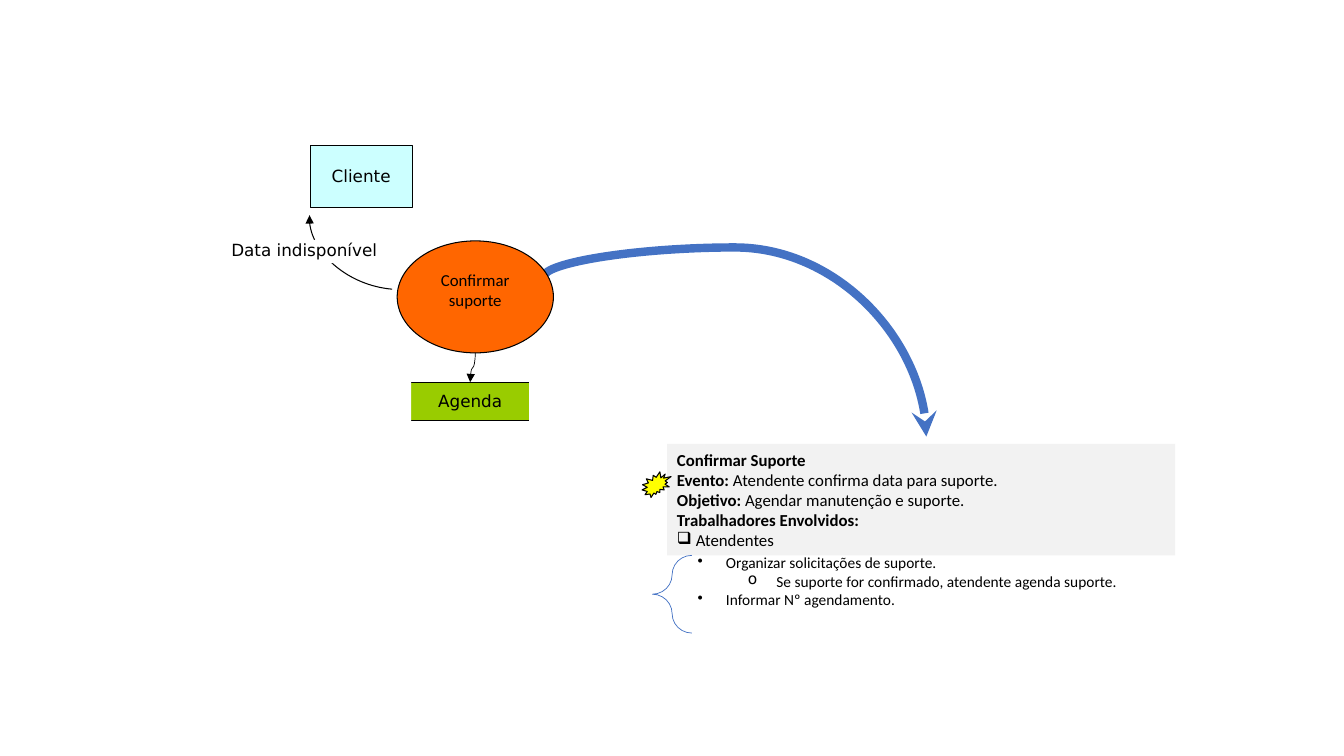
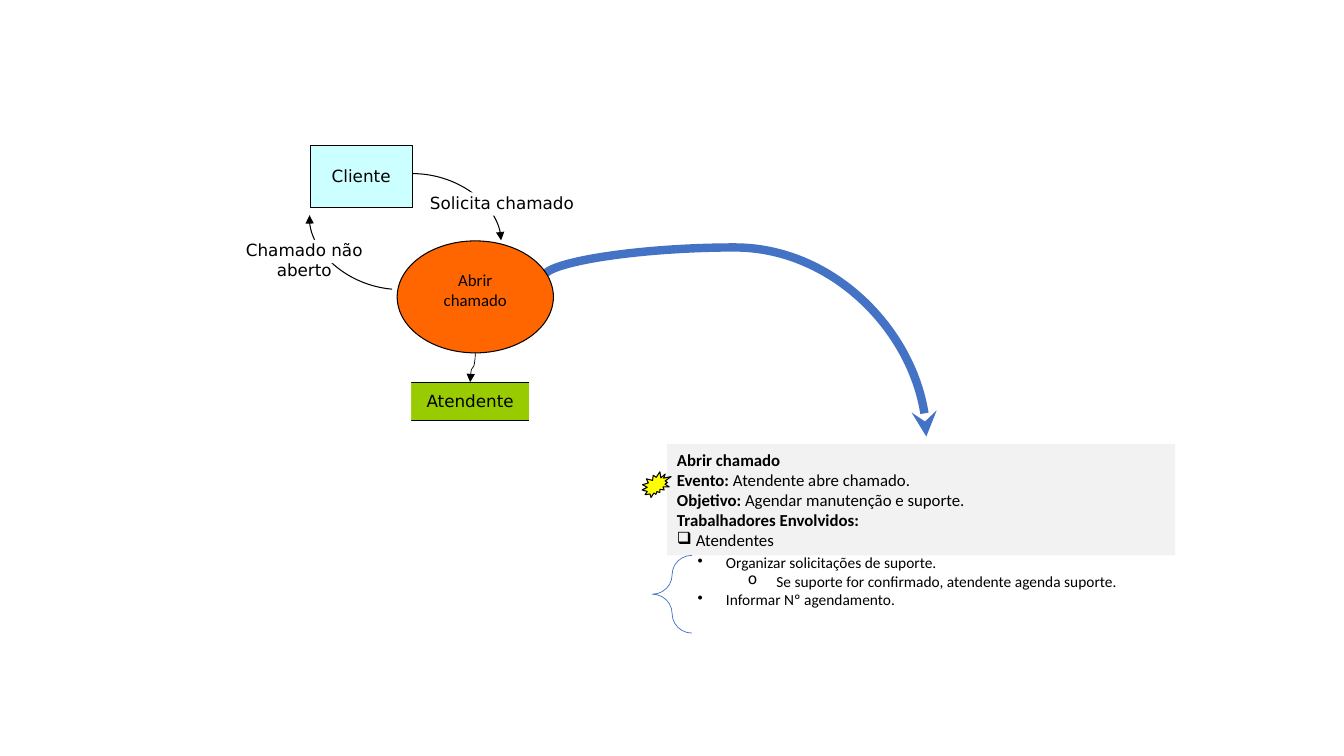
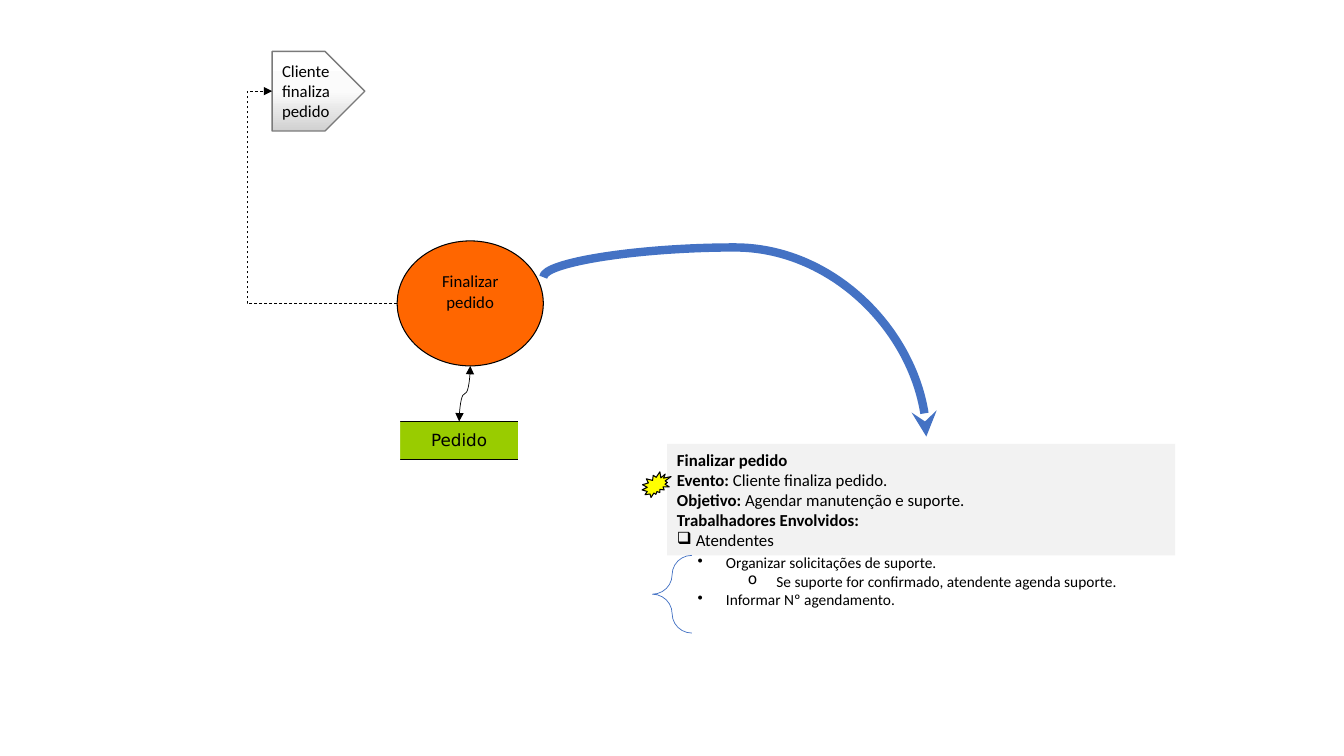
import copy
import lxml.etree
import pptx
import pptx.util
import pptx.dml.color
import pptx.enum.dml
import pptx.enum.shapes
import pptx.enum.text
import pptx.oxml.ns

Pt = pptx.util.Pt
Color = pptx.dml.color.RGBColor
Kind = pptx.enum.shapes.MSO_SHAPE
Link = pptx.enum.shapes.MSO_CONNECTOR
Align = pptx.enum.text.PP_ALIGN
Anchor = pptx.enum.text.MSO_ANCHOR
Fit = pptx.enum.text.MSO_AUTO_SIZE
qn = pptx.oxml.ns.qn

BLACK = Color(0x00, 0x00, 0x00)
WHITE = Color(0xFF, 0xFF, 0xFF)
GREY = Color(0xF2, 0xF2, 0xF2)
BLUE = Color(0x44, 0x72, 0xC4)
CYAN = Color(0xCC, 0xFF, 0xFF)
ORANGE = Color(0xFF, 0x66, 0x00)
GREEN = Color(0x99, 0xCC, 0x00)
YELLOW = Color(0xFF, 0xFF, 0x00)
EDGE = Color(0x7A, 0x7A, 0x7A)
FADE = [(0, WHITE), (0.5, Color(0xFB, 0xFB, 0xFB)), (1, Color(0xD1, 0xD1, 0xD1))]

BODY = "Calibri"
SANS = "DejaVu Sans"
PAD = (7.2, 3.6, 7.2, 3.6)

GOAL = "Agendar manutenção e suporte."
STAFF = "Atendentes"
STEPS = [
    (1, "•", "Organizar solicitações de suporte."),
    (2, "o", "Se suporte for confirmado, atendente agenda suporte."),
    (1, "•", "Informar Nº agendamento."),
]
INDENT = {1: 35.4, 2: 71.4}

OVAL = (283.7, 172.1, 111.6, 80)
STORE = (292.3, 273, 87.1, 27.4)
FLOWS = [
    dict(task="Confirmar suporte", title="Confirmar Suporte",
         event="Atendente confirma data para suporte.",
         store="Agenda", reply="Data indisponível", oval=OVAL, base=STORE),
    dict(task="Abrir chamado", title="Abrir chamado",
         event="Atendente abre chamado.",
         store="Atendente", reply="Chamado não aberto", ask="Solicita chamado",
         oval=OVAL, base=STORE),
    dict(task="Finalizar pedido", title="Finalizar pedido",
         event="Cliente finaliza pedido.",
         store="Pedido", start="Cliente finaliza pedido",
         oval=(283.7, 172.1, 104.4, 89.3), base=(284.4, 301, 87.1, 27.4)),
]


def points(box):
    return [Pt(round(v, 2)) for v in box]


def shape(slide, kind, box, fill=None, line=None, width=0.75):
    item = slide.shapes.add_shape(kind, *points(box))
    item.shadow.inherit = False
    if fill is None:
        item.fill.background()
    else:
        item.fill.solid()
        item.fill.fore_color.rgb = fill
    if line is None:
        item.line.fill.background()
    else:
        item.line.color.rgb = line
        item.line.width = Pt(width)
    return item


def frame(item, pad=PAD, anchor=Anchor.TOP, grow=False):
    text = item.text_frame
    text.word_wrap = True
    text.vertical_anchor = anchor
    (text.margin_left, text.margin_top,
     text.margin_right, text.margin_bottom) = points(pad)
    if grow:
        text.auto_size = Fit.SHAPE_TO_FIT_TEXT
    return text


def style(run, font=BODY, size=12, bold=False):
    run.font.name = font
    run.font.size = Pt(size)
    run.font.bold = bold
    run.font.color.rgb = BLACK


def label(item, words, font=SANS, pad=PAD, anchor=Anchor.TOP, align=Align.CENTER):
    text = frame(item, pad, anchor)
    text.text = words
    para = text.paragraphs[0]
    para.alignment = align
    style(para.runs[0], font)
    return para


def bullet(para, mark, left, hang):
    props = para._p.get_or_add_pPr()
    props.set("marL", str(Pt(left)))
    props.set("indent", str(-Pt(hang)))
    lxml.etree.SubElement(props, qn("a:buChar")).set("char", mark)


def arrow(slide, preset, box, turn=0, flip=False, color=BLACK, width=0.75,
          bend=None, dash=False, tail="triangle", head=None):
    left, top, wide, high = box
    kind = Link.ELBOW if preset.startswith("bent") else Link.CURVE
    item = slide.shapes.add_connector(
        kind, *points((left, top, left + wide, top + high)))
    item.line.color.rgb = color
    item.line.width = Pt(width)
    if dash:
        item.line.dash_style = pptx.enum.dml.MSO_LINE.DASH
    props = item._element.spPr
    place = props.find(qn("a:xfrm"))
    if turn:
        place.set("rot", str(turn * 60000))
    if flip:
        place.set("flipH", "1")
    geom = props.find(qn("a:prstGeom"))
    geom.set("prst", preset)
    if bend is not None:
        guide = lxml.etree.SubElement(geom.find(qn("a:avLst")), qn("a:gd"))
        guide.set("name", "adj1")
        guide.set("fmla", f"val {round(bend * 100000)}")
    stroke = props.find(qn("a:ln"))
    for tag, end in (("a:headEnd", head), ("a:tailEnd", tail)):
        if end:
            lxml.etree.SubElement(stroke, qn(tag)).set("type", end)
    lxml.etree.SubElement(props, qn("a:effectLst"))


def summary(slide, flow):
    card = shape(slide, Kind.RECTANGLE, (476.5, 317, 363, 79.8), GREY)
    text = frame(card, anchor=Anchor.MIDDLE, grow=True)
    rows = [(flow["title"], ""), ("Evento: ", flow["event"]),
            ("Objetivo: ", GOAL), ("Trabalhadores Envolvidos:", ""), ("", STAFF)]
    for i, row in enumerate(rows):
        para = text.paragraphs[0] if i == 0 else text.add_paragraph()
        para.alignment = Align.JUSTIFY
        for words, bold in zip(row, (True, False)):
            if words:
                run = para.add_run()
                run.text = words
                style(run, bold=bold)
    bullet(para, "❑", 13.5, 13.5)


def steps(slide):
    text = frame(slide.shapes.add_textbox(*points((476, 391.8, 367, 47.2))), grow=True)
    for i, (level, mark, words) in enumerate(STEPS):
        para = text.paragraphs[0] if i == 0 else text.add_paragraph()
        para.text = words
        para.level = level
        para.alignment = Align.JUSTIFY
        bullet(para, mark, INDENT[level], 20.2)
        style(para.runs[0], size=11)
    brace = shape(slide, Kind.LEFT_BRACE, (466, 396.7, 28.2, 55.5), None, BLUE, 0.5)
    brace.adjustments[0] = 0.521
    brace.adjustments[1] = 0.5


def tag(slide, words, left, top):
    item = shape(slide, Kind.RECTANGLE, (left, top, 108, 16.6), WHITE)
    label(item, words, pad=(0, 0, 0, 0))


def client(slide):
    item = shape(slide, Kind.RECTANGLE, (221.5, 104, 73, 44.5), CYAN, BLACK)
    label(item, "Cliente", pad=(7.2, 2.9, 7.2, 3.6), anchor=Anchor.MIDDLE)


def task(slide, flow):
    arrow(slide, "curvedConnector3", (468, 118.1, 113.8, 273.6), 270, True,
          BLUE, 6, -0.187, tail="stealth")
    oval = shape(slide, Kind.OVAL, flow["oval"], ORANGE, BLACK)
    para = label(oval, flow["task"], BODY, (7.2, 8.6, 7.2, 3.6))
    para.space_before = Pt(2.4)
    burst = shape(slide, Kind.EXPLOSION2, (458, 337.7, 22.3, 16.6), YELLOW, BLACK)
    burst.rotation = 347.5


def store(slide, flow):
    left, top, wide, high = flow["base"]
    item = shape(slide, Kind.RECTANGLE, flow["base"], GREEN, BLACK)
    label(item, flow["store"], pad=(7.2, 5.8, 7.2, 3.6))
    for x in (left - 13, left + wide - 1.4):
        shape(slide, Kind.RECTANGLE, (x, top - 2.9, 14.4, 32.4), WHITE)


def drop(slide, flow):
    left, top, wide, high = flow["oval"]
    x, y = left + wide / 2, top + high
    goal = flow["base"][0] + flow["base"][2] / 2
    span, shift = flow["base"][1] - y, x - goal
    box = ((x + goal - span) / 2, y + (span - shift) / 2, span, shift)
    arrow(slide, "curvedConnector3", box, 90, width=0.5,
          head="triangle" if "start" in flow else None)


def start(slide, words):
    plate = shape(slide, Kind.PENTAGON, (194.4, 36.7, 66.2, 56.9), WHITE, EDGE, 1)
    plate.fill.gradient()
    plate.fill.gradient_angle = 270
    stops = plate._element.spPr.find(".//" + qn("a:gsLst"))
    stops.append(copy.deepcopy(stops[0]))
    for stop, (spot, color) in zip(plate.fill.gradient_stops, FADE):
        stop.position = spot
        stop.color.rgb = color
    arrow(slide, "bentConnector3", (194.4, 65.1, 89.3, 151.6), 180,
          width=0.5, bend=1.2, dash=True)
    note = slide.shapes.add_textbox(*points((194.4, 39.6, 62.6, 51.1)))
    label(note, words, BODY, align=Align.LEFT)


def build(slide, flow):
    summary(slide, flow)
    steps(slide)
    if "ask" in flow:
        arrow(slide, "curvedConnector2", (294.5, 124, 63.4, 47.7))
        tag(slide, flow["ask"], 304.6, 137.5)
    if "reply" in flow:
        client(slide)
    task(slide, flow)
    store(slide, flow)
    if "reply" in flow:
        arrow(slide, "curvedConnector2", (218.9, 156.4, 63.4, 47.5), 185)
        tag(slide, flow["reply"], 163.4, 171.4)
    drop(slide, flow)
    if "start" in flow:
        start(slide, flow["start"])


def main():
    deck = pptx.Presentation()
    deck.slide_width = Pt(960)
    deck.slide_height = Pt(540)
    for flow in FLOWS:
        build(deck.slides.add_slide(deck.slide_layouts[6]), flow)
    deck.save("out.pptx")


if __name__ == "__main__":
    main()
